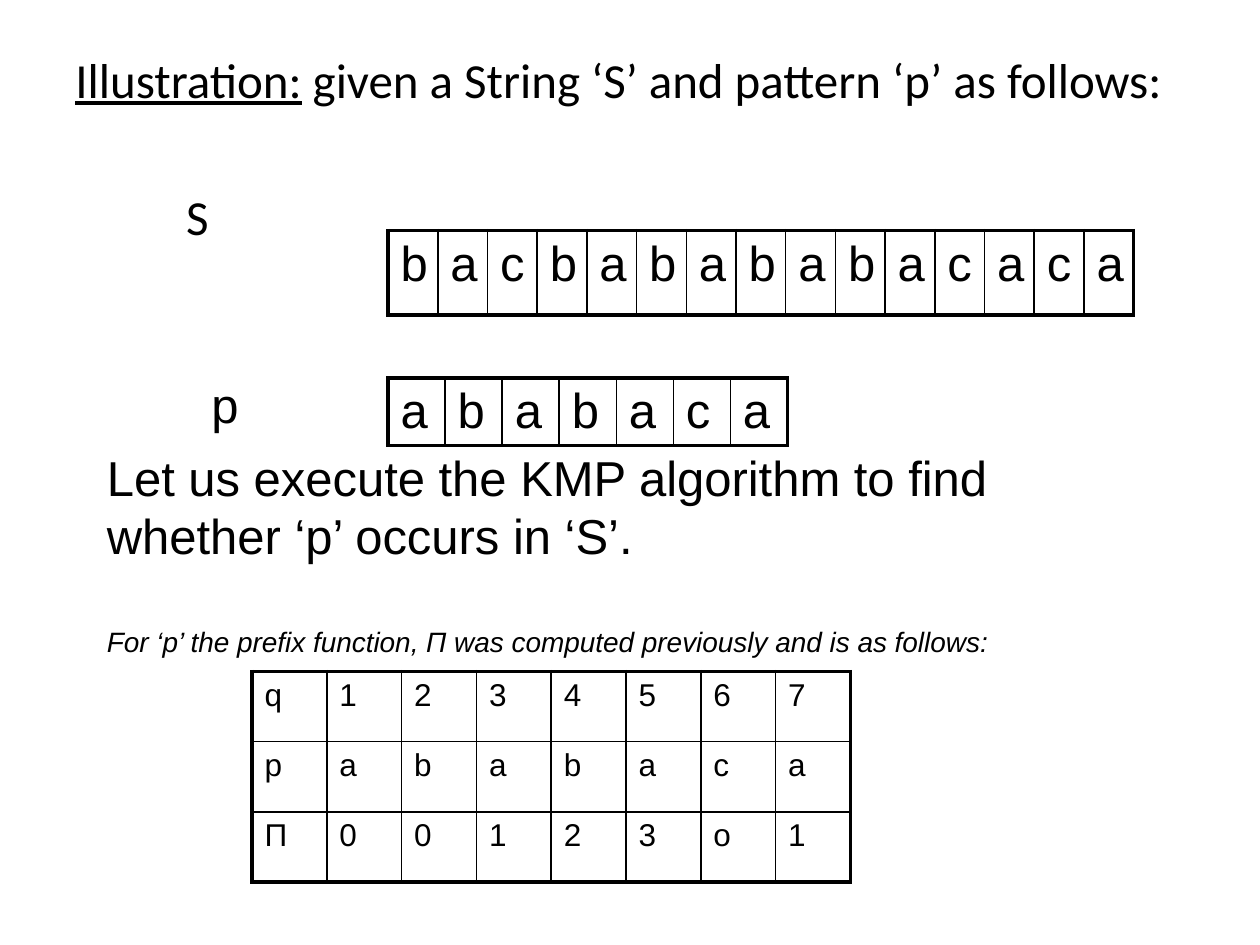
from dataclasses import dataclass

from lxml.etree import SubElement
from pptx import Presentation
from pptx.dml.color import RGBColor
from pptx.oxml.ns import qn
from pptx.util import Inches, Pt

BLACK = RGBColor(0, 0, 0)
INNER_BORDER, OUTER_BORDER = Pt(1), Pt(2.25)
LARGE, MEDIUM, SMALL = Pt(28), Pt(18), Pt(16)
HEADING_FONT, BODY_FONT = "Calibri", "Arial"


@dataclass
class Grid:
    left: float
    top: float
    width: float
    height: float
    size: Pt
    rows: list[str]


@dataclass
class Span:
    text: str
    size: Pt = LARGE
    font: str = BODY_FONT
    underline: bool = False
    italic: bool = False


@dataclass
class Paragraph:
    spans: list[Span]
    space_before: Pt = Pt(0)
    indent: float = 0


@dataclass
class Label:
    left: float
    top: float
    width: float
    height: float
    paragraphs: list[Paragraph]
    wrap: bool = True


STRING = "bacbabababacaca"
PATTERN = "ababaca"
POSITIONS = "1234567"
PREFIX_VALUES = "00123o1"

GRIDS = [
    Grid(3.08, 1.83, 5.92, 0.67, LARGE, [STRING]),
    Grid(3.08, 3, 3.17, 0.5, LARGE, [PATTERN]),
    Grid(2, 5.33, 4.75, 1.67, MEDIUM,
         ["q" + POSITIONS, "p" + PATTERN, "Π" + PREFIX_VALUES]),
]

LABELS = [
    Label(0.5, 0.34, 9, 1.7, [
        Paragraph([
            Span("Illustration:", font=HEADING_FONT, underline=True),
            Span(" given a String ‘S’ and pattern ‘p’ as follows:", font=HEADING_FONT),
        ]),
        Paragraph([Span("S", font=HEADING_FONT)], space_before=Pt(45), indent=0.88),
    ]),
    Label(1.58, 2.92, 0.42, 0.57, [Paragraph([Span("p")])], wrap=False),
    Label(0.75, 3.5, 8.1, 1.77, [
        Paragraph([Span("Let us execute the KMP algorithm to find "
                        "whether ‘p’ occurs in ‘S’.")]),
        Paragraph([Span("For ‘p’ the prefix function, Π was computed "
                        "previously and is as follows:", SMALL, italic=True)],
                  space_before=Pt(34)),
    ]),
]


def format_font(font, name: str, size: Pt) -> None:
    font.name = name
    font.size = size
    font.color.rgb = BLACK


def add_border(cell, side: str, width: Pt) -> None:
    line = SubElement(cell._tc.get_or_add_tcPr(), qn(f"a:ln{side}"), w=str(width))
    fill = SubElement(line, qn("a:solidFill"))
    SubElement(fill, qn("a:srgbClr"), val=str(BLACK))


def add_grid(page, grid: Grid) -> None:
    row_count, column_count = len(grid.rows), len(grid.rows[0])
    table = page.shapes.add_table(
        row_count, column_count, Inches(grid.left), Inches(grid.top),
        Inches(grid.width), Inches(grid.height)).table
    table.first_row = table.horz_banding = False
    for row, letters in enumerate(grid.rows):
        for column, letter in enumerate(letters):
            cell = table.cell(row, column)
            cell.text_frame.text = letter
            format_font(cell.text_frame.paragraphs[0].runs[0].font, BODY_FONT, grid.size)
            on_edge = {"L": column == 0, "R": column == column_count - 1,
                       "T": row == 0, "B": row == row_count - 1}
            for side, is_outer in on_edge.items():
                add_border(cell, side, OUTER_BORDER if is_outer else INNER_BORDER)
            cell.fill.background()


def fill_paragraph(para, content: Paragraph) -> None:
    para.space_before = content.space_before
    para._p.get_or_add_pPr().set("marL", str(Inches(content.indent)))
    for span in content.spans:
        run = para.add_run()
        run.text = span.text
        format_font(run.font, span.font, span.size)
        run.font.underline = span.underline
        run.font.italic = span.italic


def add_label(page, label: Label) -> None:
    box = page.shapes.add_textbox(Inches(label.left), Inches(label.top),
                                  Inches(label.width), Inches(label.height))
    frame = box.text_frame
    frame.word_wrap = label.wrap
    for index, content in enumerate(label.paragraphs):
        para = frame.add_paragraph() if index else frame.paragraphs[0]
        fill_paragraph(para, content)


deck = Presentation()
deck.slide_width, deck.slide_height = Inches(10), Inches(7.5)
page = deck.slides.add_slide(deck.slide_layouts[6])

for grid in GRIDS:
    add_grid(page, grid)
for label in LABELS:
    add_label(page, label)

deck.save("out.pptx")
